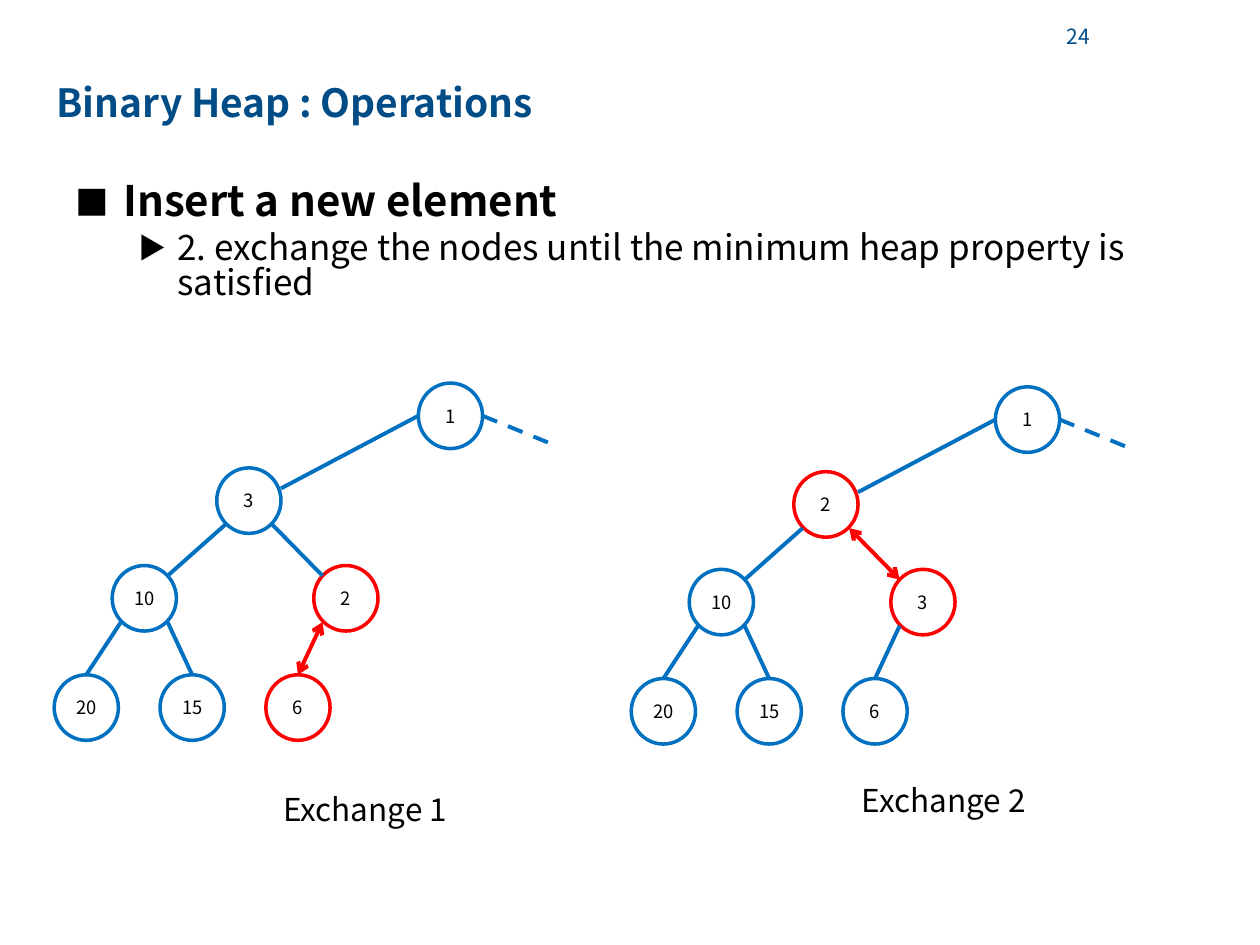
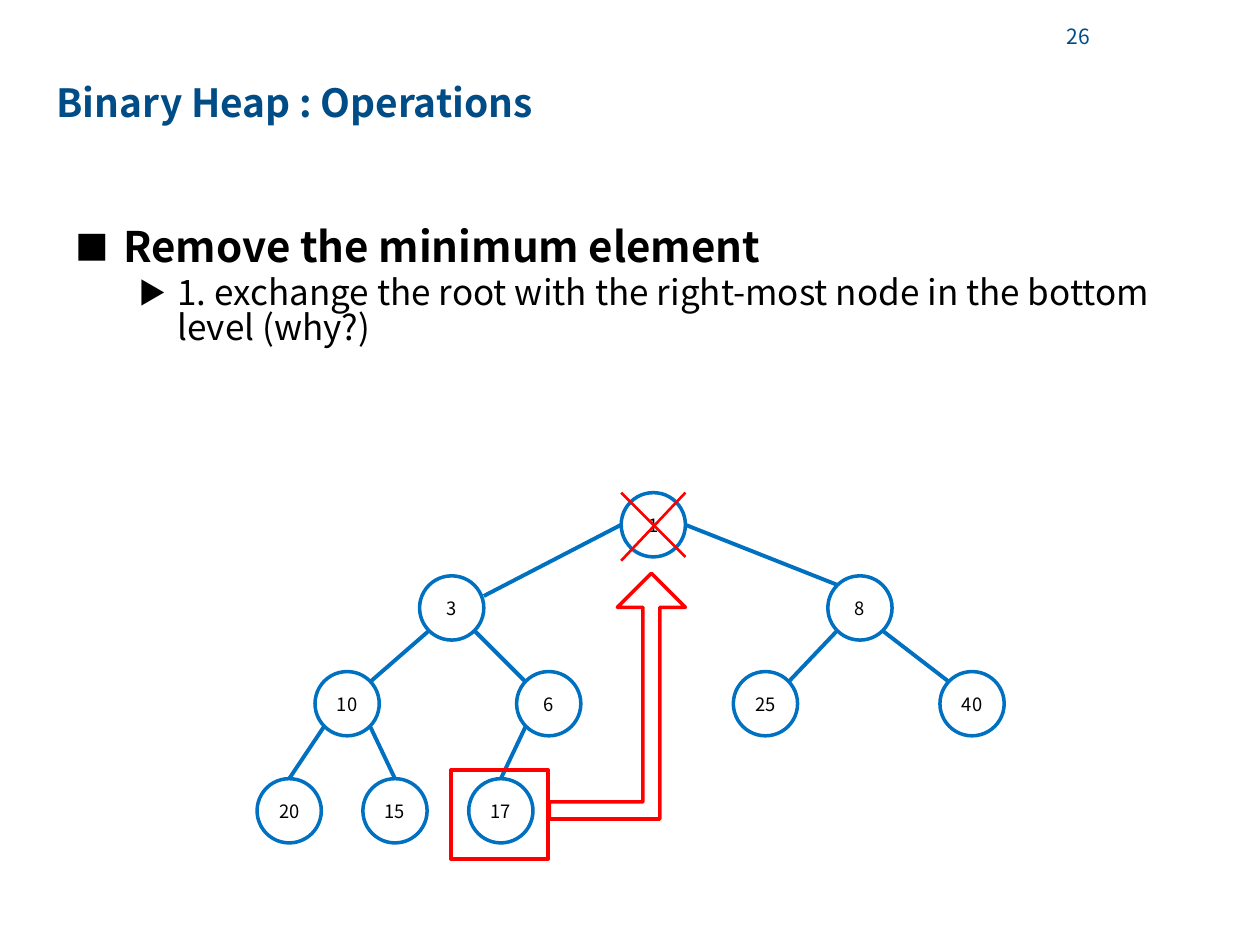
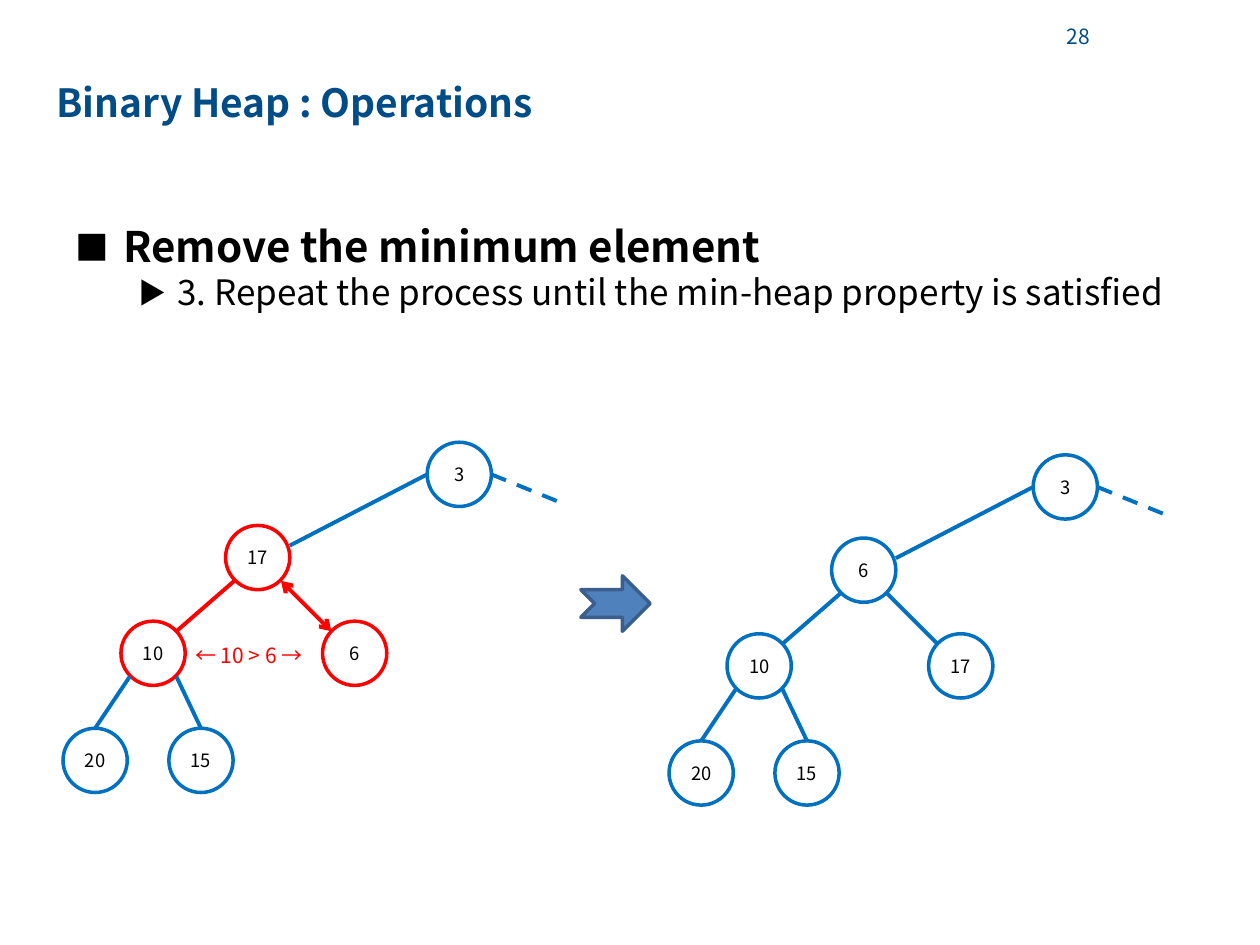
from dataclasses import dataclass

from lxml import etree
from pptx import Presentation
from pptx.dml.color import RGBColor as RGB
from pptx.enum.dml import MSO_LINE_DASH_STYLE as Dash
from pptx.enum.shapes import MSO_CONNECTOR as Connector, MSO_SHAPE as Shape
from pptx.enum.text import MSO_ANCHOR as Anchor, PP_ALIGN as Align
from pptx.oxml.ns import qn
from pptx.util import Inches, Pt


@dataclass(frozen=True)
class Theme:
    font: str = "Noto Sans CJK KR"
    title: RGB = RGB(0x00, 0x4C, 0x86)
    ink: RGB = RGB(0, 0, 0)
    white: RGB = RGB(255, 255, 255)
    blue: RGB = RGB(0x00, 0x70, 0xC0)
    red: RGB = RGB(255, 0, 0)
    arrow_fill: RGB = RGB(0x4F, 0x81, 0xBD)
    arrow_line: RGB = RGB(0x3A, 0x5F, 0x8C)
    title_size: float = 22.2
    heading_size: float = 24
    detail_size: float = 20
    caption_size: float = 18
    small_size: float = 12
    node_size: float = 10.5
    outline: float = 2
    edge: float = 2.25
    cross: float = 1.5


theme = Theme()


def format_text(paragraph, size, color, bold=False, align=Align.LEFT):
    paragraph.alignment = align
    for run in paragraph.runs:
        run.font.name = theme.font
        run.font.size = Pt(size)
        run.font.bold = bold
        run.font.color.rgb = color
        etree.SubElement(run.font._element, qn("a:ea"), typeface=theme.font)


def draw_line(shapes, start, end, color, width, arrows=False, dashed=False):
    ends = [Inches(value) for value in (*start, *end)]
    connector = shapes.add_connector(Connector.STRAIGHT, *ends)
    connector.line.color.rgb = color
    connector.line.width = Pt(width)
    if dashed:
        connector.line.dash_style = Dash.DASH
    if arrows:
        for tag in ("a:headEnd", "a:tailEnd"):
            etree.SubElement(connector.line._get_or_add_ln(), qn(tag), type="arrow")
    etree.SubElement(connector._element.spPr, qn("a:effectLst"))


# A node is named by its way down from the root: L and R are the children.
# Each offset leads from the root's corner to the node's corner.
node_offsets = {
    "": (0, 0),
    "L": (-1.6, 0.66), "R": (1.64, 0.66),
    "LL": (-2.43, 1.42), "LR": (-0.83, 1.42), "RL": (0.89, 1.42), "RR": (2.53, 1.42),
    "LLL": (-2.89, 2.27), "LLR": (-2.05, 2.27), "LRL": (-1.21, 2.27),
}
hollow_nodes = {"", "L", "LR"}
diameter = 0.51
near, far = 0.07, 0.44  # diagonal points on a node's rim

# Contents: each tree has its root corner, vertical stretch, node values,
# red nodes, red edges, and the edge whose ends are exchanged.
remove_heading = "Remove the minimum element"
slide_specs = [
    ("24", 1.39, "Insert a new element",
     "2. exchange the nodes until the minimum heap property is satisfied",
     [((3.32, 3.04), 1.02,
       {"": 1, "L": 3, "LL": 10, "LR": 2, "LLL": 20, "LLR": 15, "LRL": 6},
       {"LR", "LRL"}, {"LRL"}, "LRL"),
      ((7.9, 3.07), 1.02,
       {"": 1, "L": 2, "LL": 10, "LR": 3, "LLL": 20, "LLR": 15, "LRL": 6},
       {"L", "LR"}, {"LR"}, "LR")]),
    ("26", 1.75, remove_heading,
     "1. exchange the root with the right-most node in the bottom level (why?)",
     [((4.93, 3.91), 1,
       {"": 1, "L": 3, "R": 8, "LL": 10, "LR": 6, "RL": 25, "RR": 40,
        "LLL": 20, "LLR": 15, "LRL": 17},
       set(), set(), None)]),
    ("28", 1.75, remove_heading,
     "3. Repeat the process until the min-heap property is satisfied",
     [((8.2, 3.61), 1,
       {"": 3, "L": 6, "LL": 10, "LR": 17, "LLL": 20, "LLR": 15},
       set(), set(), None),
      ((3.39, 3.51), 1,
       {"": 3, "L": 17, "LL": 10, "LR": 6, "LLL": 20, "LLR": 15},
       {"L", "LL", "LR"}, {"LL", "LR"}, "LR")]),
]

presentation = Presentation()
presentation.slide_width = Inches(10)
presentation.slide_height = Inches(7.5)
slides = []

for number, body_top, heading, detail, trees in slide_specs:
    slide = presentation.slides.add_slide(presentation.slide_layouts[6])
    slides.append(slide)

    # Title
    title = slide.shapes.add_textbox(Inches(0.35), Inches(0.62), Inches(9.21), Inches(0.42))
    title.text_frame.word_wrap = True
    title.text_frame.text = "Binary Heap : Operations"
    title.text_frame.paragraphs[0].line_spacing = 0.9
    format_text(title.text_frame.paragraphs[0], theme.title_size, theme.title, bold=True)

    # Page number
    page = slide.shapes.add_textbox(Inches(8.15), Inches(0.09), Inches(0.6), Inches(0.4))
    page.text_frame.word_wrap = True
    page.text_frame.vertical_anchor = Anchor.MIDDLE
    page.text_frame.text = number
    format_text(page.text_frame.paragraphs[0], theme.small_size, theme.title, align=Align.RIGHT)

    # Bulleted heading and detail
    body = slide.shapes.add_textbox(Inches(0.5), Inches(body_top), Inches(9), Inches(4.95))
    body.text_frame.word_wrap = True
    body.text_frame.text = f"{heading}\n{detail}"
    bullet_styles = [
        ("■", 0.38, 0.38, theme.heading_size, True, 0.88),
        ("▶", 0.81, 0.31, theme.detail_size, False, 0.83),
    ]
    for level, (paragraph, style) in enumerate(zip(body.text_frame.paragraphs, bullet_styles)):
        bullet, indent, hanging, size, bold, spacing = style
        format_text(paragraph, size, theme.ink, bold)
        paragraph.level = level
        paragraph.line_spacing = spacing
        paragraph.space_before = Pt(4 * level)
        properties = paragraph._p.get_or_add_pPr()
        properties.set("marL", str(Inches(indent)))
        properties.set("indent", str(-Inches(hanging)))
        etree.SubElement(properties, qn("a:buSzPct"), val="80000")
        etree.SubElement(properties, qn("a:buFont"), typeface=theme.font)
        etree.SubElement(properties, qn("a:buChar"), char=bullet)

    for (root_x, root_y), stretch, values, red_nodes, red_edges, exchanged in trees:
        tree = slide.shapes.add_group_shape().shapes
        corners = {name: (root_x + node_offsets[name][0], root_y + node_offsets[name][1] * stretch)
                   for name in values}

        # Nodes
        for name, value in values.items():
            x, y = corners[name]
            node = tree.add_shape(Shape.OVAL, Inches(x), Inches(y),
                                  Inches(diameter), Inches(diameter * stretch))
            node.shadow.inherit = False
            if name in hollow_nodes:
                node.fill.background()
            else:
                node.fill.solid()
                node.fill.fore_color.rgb = theme.white
            node.line.color.rgb = theme.red if name in red_nodes else theme.blue
            node.line.width = Pt(theme.outline)
            frame = node.text_frame
            frame.margin_left = frame.margin_right = 0
            frame.word_wrap = False
            frame.vertical_anchor = Anchor.MIDDLE
            frame.text = str(value)
            format_text(frame.paragraphs[0], theme.node_size, theme.ink, align=Align.CENTER)

        # Edges from each parent to its child
        for name in values:
            if not name:
                continue
            is_left = name.endswith("L")
            if len(name) == 1:
                leave = (0 if is_left else diameter, diameter / 2)
                arrive = (diameter, 0.16) if is_left else (near, near)
            else:
                leave = (near if is_left else far, far)
                arrive = (far if is_left else near, 0.08) if len(name) == 2 else (diameter / 2, 0)
            start, end = [(corners[node_name][0] + dx, corners[node_name][1] + dy * stretch)
                          for node_name, (dx, dy) in ((name[:-1], leave), (name, arrive))]
            draw_line(tree, start, end, theme.red if name in red_edges else theme.blue,
                      theme.edge, arrows=name == exchanged)

        # Dashed stub for a right branch left out
        if "R" not in values:
            stub_x, stub_y = root_x + diameter, root_y + diameter * stretch / 2
            draw_line(tree, (stub_x, stub_y), (stub_x + 0.54, stub_y + 0.22),
                      theme.blue, theme.edge, dashed=True)

insert_slide, remove_slide, repeat_slide = slides

# Captions and comparison
for slide, text, x, y, width, height, size, color in [
    (insert_slide, "Exchange 1", 2.15, 6.22, 1.5, 0.48, theme.caption_size, theme.ink),
    (insert_slide, "Exchange 2", 6.74, 6.15, 1.5, 0.48, theme.caption_size, theme.ink),
    (repeat_slide, "← 10 > 6 →", 1.45, 5.05, 1.17, 0.3, theme.small_size, theme.red),
]:
    caption = slide.shapes.add_textbox(Inches(x), Inches(y), Inches(width), Inches(height))
    caption.text_frame.word_wrap = False
    caption.text_frame.text = text
    format_text(caption.text_frame.paragraphs[0], size, color)

# Cross over the removed root
draw_line(remove_slide.shapes, (4.93, 3.91), (5.44, 4.42), theme.red, theme.cross)
draw_line(remove_slide.shapes, (4.93, 4.45), (5.44, 3.91), theme.red, theme.cross)

# Block arrows and the frame around the last node
for slide, kind, x, y, width, height, fill, line in [
    (remove_slide, Shape.BENT_UP_ARROW, 4.36, 4.55, 1.08, 1.95, None, theme.red),
    (remove_slide, Shape.RECTANGLE, 3.58, 6.11, 0.77, 0.71, None, theme.red),
    (repeat_slide, Shape.NOTCHED_RIGHT_ARROW, 4.61, 4.57, 0.55, 0.44,
     theme.arrow_fill, theme.arrow_line),
]:
    shape = slide.shapes.add_shape(kind, Inches(x), Inches(y), Inches(width), Inches(height))
    shape.shadow.inherit = False
    if fill is None:
        shape.fill.background()
    else:
        shape.fill.solid()
        shape.fill.fore_color.rgb = fill
    shape.line.color.rgb = line
    shape.line.width = Pt(theme.outline)
    if kind == Shape.BENT_UP_ARROW:
        shape.adjustments[0] = 0.125  # shaft thickness

presentation.save("out.pptx")
